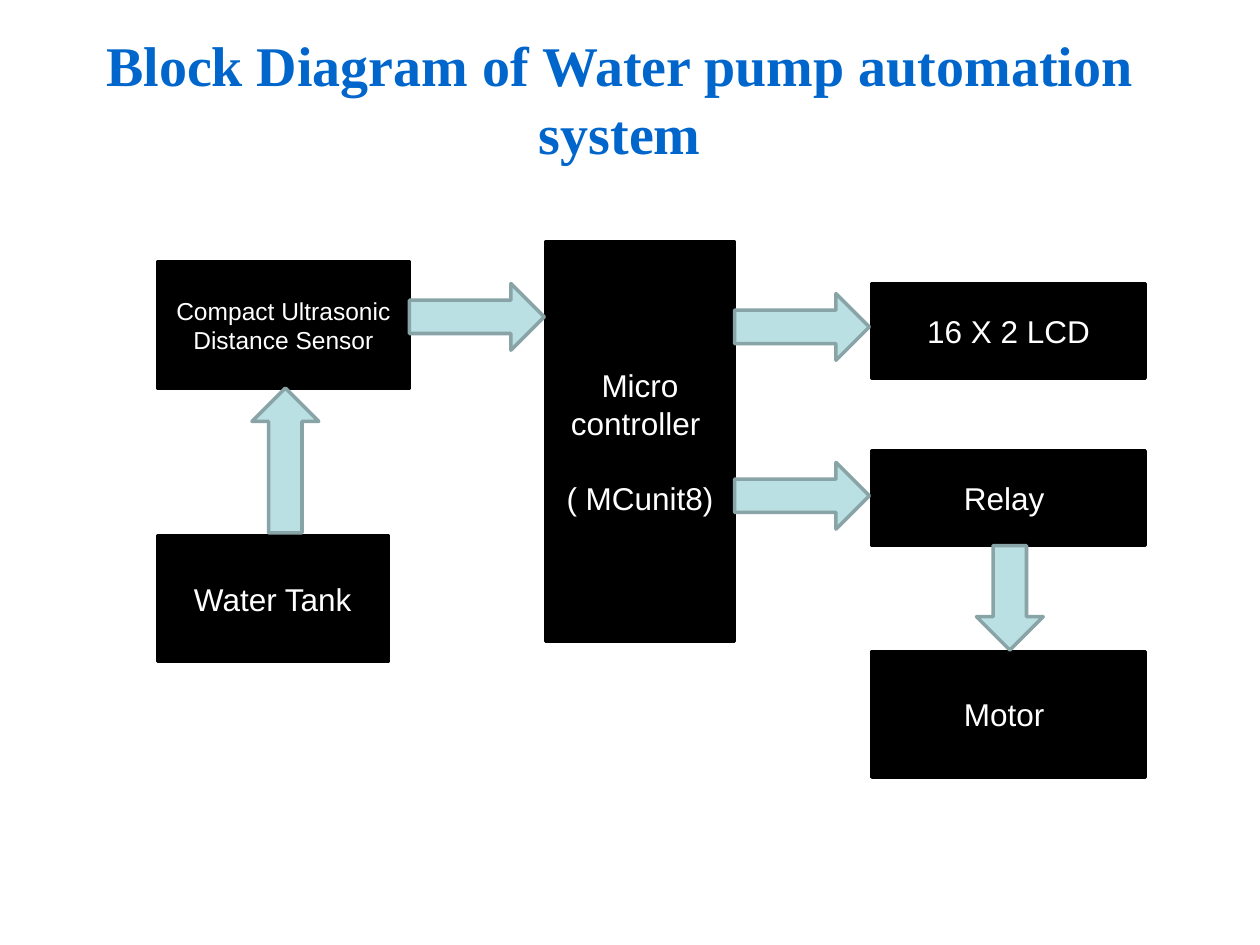
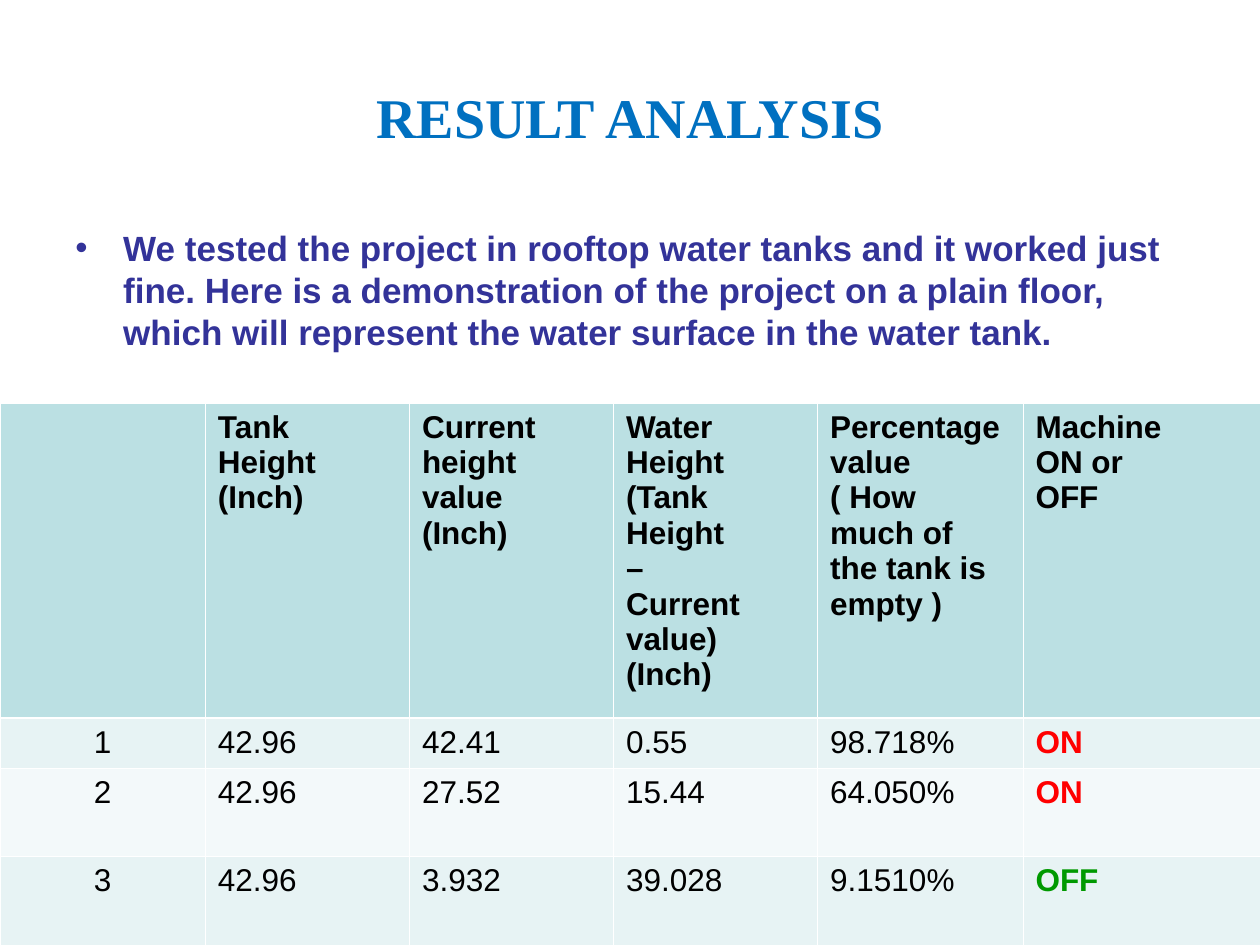
"""Build two slides on water pump automation: a block diagram and its test results."""
from dataclasses import dataclass

from lxml.etree import SubElement
from pptx import Presentation
from pptx.dml.color import RGBColor
from pptx.enum.shapes import MSO_SHAPE
from pptx.enum.text import MSO_ANCHOR, MSO_AUTO_SIZE, PP_ALIGN
from pptx.oxml import parse_xml
from pptx.oxml.ns import nsdecls, qn
from pptx.util import Inches, Pt


@dataclass(frozen=True)
class Theme:
    """Colours, fonts and type sizes shared by the slides."""
    diagram_title: RGBColor = RGBColor.from_string("0066CC")
    result_title: RGBColor = RGBColor.from_string("0070C0")
    body: RGBColor = RGBColor.from_string("333399")
    black: RGBColor = RGBColor.from_string("000000")
    white: RGBColor = RGBColor.from_string("FFFFFF")
    accent: RGBColor = RGBColor.from_string("BBE0E3")
    arrow_line: RGBColor = RGBColor.from_string("89A4A7")
    odd_row: RGBColor = RGBColor.from_string("E7F3F4")
    even_row: RGBColor = RGBColor.from_string("F3F9FA")
    on: RGBColor = RGBColor.from_string("FF0000")
    off: RGBColor = RGBColor.from_string("009900")
    title_font: str = "Times New Roman"
    body_font: str = "Arial"
    title_size: int = 32
    body_size: int = 20
    label_size: int = 18
    small_size: int = 14
    leading: float = 1.2
    table_leading: float = 1.12


THEME = Theme()


def write(frame, lines, size, color, bold=False, align=PP_ALIGN.CENTER,
          font=THEME.body_font, leading=THEME.leading):
    """Fill a text frame with one styled paragraph per line."""
    frame.word_wrap = True
    for index, line in enumerate(lines):
        para = frame.add_paragraph() if index else frame.paragraphs[0]
        para.alignment = align
        para.line_spacing = Pt(round(size * leading, 1))
        para.space_before = Pt(0)
        span = para.add_run()
        span.text = line
        span.font.name = font
        span.font.size = Pt(size)
        span.font.bold = bold
        span.font.color.rgb = color


def add_block(page, kind, place, fill, line):
    """Add a filled preset shape with a two-point outline."""
    block = page.shapes.add_shape(kind, *map(Inches, place))
    block.shadow.inherit = False
    block.fill.solid()
    block.fill.fore_color.rgb = fill
    block.line.color.rgb = line
    block.line.width = Pt(2)
    return block


deck = Presentation()
deck.slide_width, deck.slide_height = Inches(10), Inches(7.5)

titles = [
    ("Block Diagram of Water pump automation system", 0.42, 0.42, THEME.diagram_title),
    ("RESULT ANALYSIS", 0.5, 0.3, THEME.result_title),
]
pages = []
for text, left, top, color in titles:
    page = deck.slides.add_slide(deck.slide_layouts[5])
    title = page.shapes.title
    title.left, title.top = Inches(left), Inches(top)
    title.width, title.height = Inches(9), Inches(1.25)
    title.text_frame.auto_size = MSO_AUTO_SIZE.NONE
    title.text_frame.vertical_anchor = MSO_ANCHOR.MIDDLE
    write(title.text_frame, [text], THEME.title_size, color, True, font=THEME.title_font)
    pages.append(page)
diagram, results = pages

title_para = diagram.shapes.title.text_frame.paragraphs[0]
title_para.add_line_break()
title_para.font.size = Pt(THEME.title_size)

blocks = [
    (["Compact Ultrasonic Distance Sensor"], (1.25, 2.08, 2, 1), THEME.small_size),
    (["Micro", "controller ", "( MCunit8)"], (4.33, 1.92, 1.5, 3.17), THEME.label_size),
    (["16 X 2 LCD"], (6.92, 2.25, 2.17, 0.75), THEME.label_size),
    (["Water Tank"], (1.25, 4.25, 1.83, 1), THEME.label_size),
    (["Relay "], (6.92, 3.58, 2.17, 0.75), THEME.label_size),
    (["Motor "], (6.92, 5.17, 2.17, 1), THEME.label_size),
]
for lines, place, size in blocks:
    block = add_block(diagram, MSO_SHAPE.RECTANGLE, place, THEME.black, THEME.black)
    block.text_frame.vertical_anchor = MSO_ANCHOR.MIDDLE
    write(block.text_frame, lines, size, THEME.white)
    if len(lines) > 1:
        chip_name = block.text_frame.paragraphs[-1]
        chip_name.space_before = Pt(round(size * THEME.leading, 1))

arrows = [
    (MSO_SHAPE.RIGHT_ARROW, (3.25, 2.25, 1.07, 0.53)),
    (MSO_SHAPE.RIGHT_ARROW, (5.83, 2.33, 1.07, 0.53)),
    (MSO_SHAPE.RIGHT_ARROW, (5.83, 3.67, 1.07, 0.53)),
    (MSO_SHAPE.UP_ARROW, (2, 3.08, 0.53, 1.15)),
    (MSO_SHAPE.DOWN_ARROW, (7.75, 4.33, 0.53, 0.83)),
]
for kind, place in arrows:
    add_block(diagram, kind, place, THEME.accent, THEME.arrow_line)

summary = results.shapes.add_textbox(Inches(0.5), Inches(1.75), Inches(9), Inches(4.95))
write(summary.text_frame, [
    "We tested the project in rooftop water tanks and it worked just fine. "
    "Here is a demonstration of the project on a plain floor, "
    "which will represent the water surface in the water tank."
], THEME.body_size, THEME.body, True, PP_ALIGN.LEFT)
bullet_format = summary.text_frame.paragraphs[0]._p.get_or_add_pPr()
bullet_format.set("marL", str(Inches(0.38)))
bullet_format.set("indent", str(Inches(-0.38)))
SubElement(bullet_format, qn("a:buFont")).set("typeface", THEME.body_font)
SubElement(bullet_format, qn("a:buChar")).set("char", "•")

headings = [
    [],
    ["Tank", "Height", "(Inch)"],
    ["Current", "height", "value", "(Inch)"],
    ["Water", "Height", "(Tank", "Height", "–", "Current", "value)", "(Inch)"],
    ["Percentage", "value", "( How", "much of", "the tank is", "empty )"],
    ["Machine", "ON or", "OFF"],
]
readings = [
    ("1", "42.96", "42.41", "0.55", "98.718%", "ON"),
    ("2", "42.96", "27.52", "15.44", "64.050%", "ON"),
    ("3", "42.96", "3.932", "39.028", "9.1510%", "OFF"),
]
rows = [headings] + [[[value] for value in reading] for reading in readings]
row_fills = [THEME.accent, THEME.odd_row, THEME.even_row, THEME.odd_row]
state_colors = {"ON": THEME.on, "OFF": THEME.off}

table = results.shapes.add_table(
    len(rows), len(headings), Inches(0), Inches(3.2), Inches(10), Inches(4.3)).table
for column, width in zip(table.columns, (1.63, 1.62, 1.62, 1.62, 1.63, 1.88)):
    column.width = Inches(width)
for row, height in zip(table.rows, (2.5, 0.4, 0.7, 0.7)):
    row.height = Inches(height)

for row_index, row in enumerate(rows):
    for column_index, lines in enumerate(row):
        cell = table.cell(row_index, column_index)
        cell.fill.solid()
        cell.fill.fore_color.rgb = row_fills[row_index]
        state = state_colors.get(lines[0]) if lines else None
        is_number = row_index > 0 and column_index == 0
        write(cell.text_frame, lines, THEME.label_size, state or THEME.black,
              row_index == 0 or state is not None,
              PP_ALIGN.CENTER if is_number else PP_ALIGN.LEFT,
              leading=THEME.table_leading)
        thick_side = {0: "lnB", 1: "lnT"}.get(row_index)
        for position, side in enumerate(("lnL", "lnR", "lnT", "lnB")):
            width = Pt(1.47 if side == thick_side else 0.45)
            border = parse_xml(
                f'<a:{side} {nsdecls("a")} w="{width}"><a:solidFill>'
                f'<a:srgbClr val="{THEME.white}"/></a:solidFill></a:{side}>')
            cell._tc.get_or_add_tcPr().insert(position, border)

deck.save("out.pptx")
